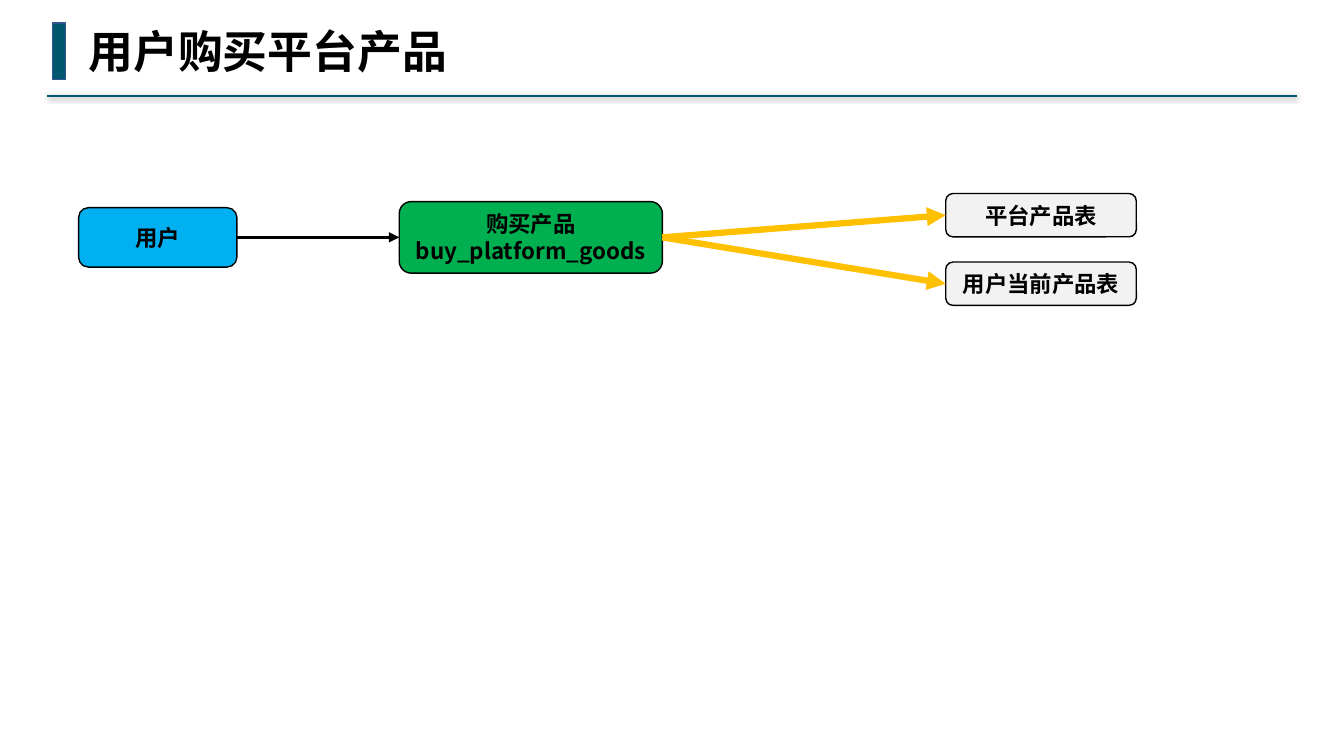
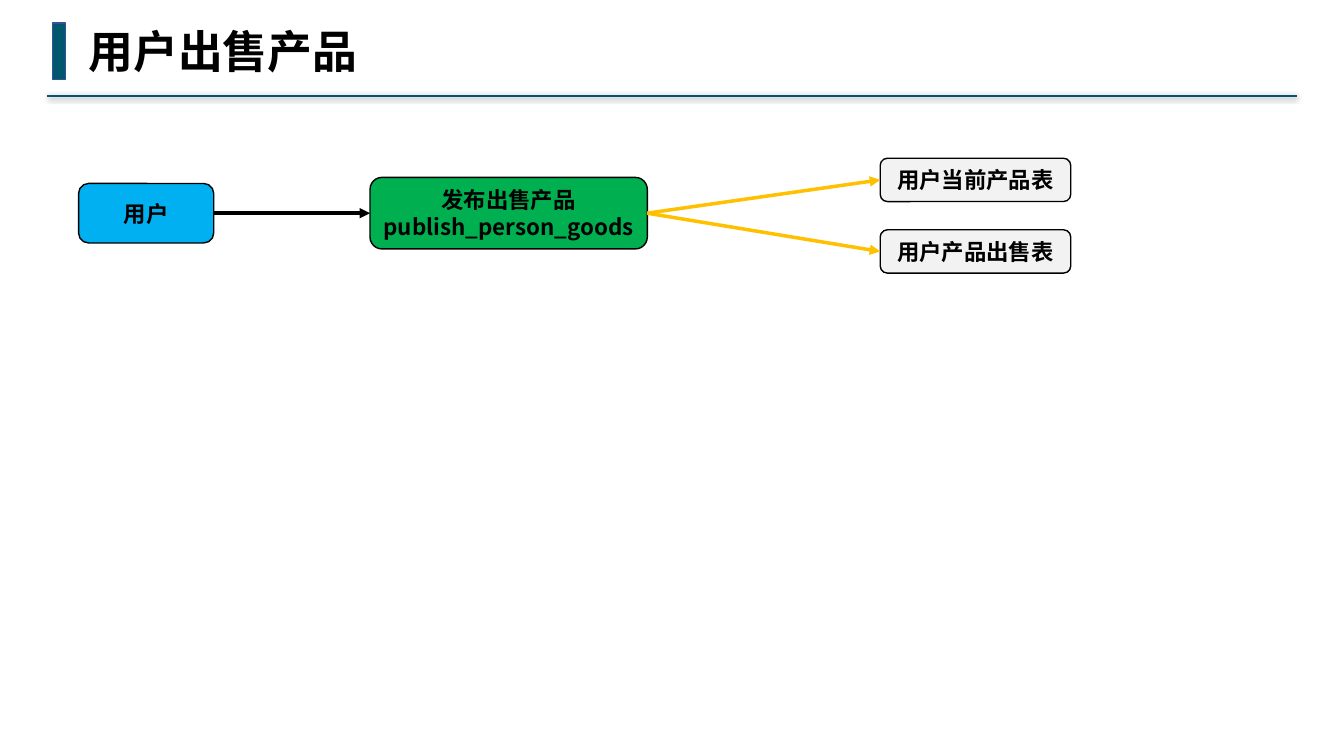
from lxml import etree
from pptx import Presentation
from pptx.dml.color import RGBColor as RGB
from pptx.enum.shapes import MSO_CONNECTOR as CONN, MSO_SHAPE as SHAPE
from pptx.enum.text import MSO_ANCHOR as ANCHOR, MSO_AUTO_SIZE as FIT, PP_ALIGN as ALIGN
from pptx.oxml.ns import qn
from pptx.util import Emu, Pt

SCALE = 9144  # EMU in one px, 100 px to the inch
BODY_FONT, TITLE_FONT = "Noto Sans CJK SC", "Noto Sans Mono"
COLORS = dict(black="000000", teal="00576E", navy="325491", blue="00B0F0",
              green="00B050", amber="FFC000", gray="F2F2F2")


def px(n):
    return Emu(n * SCALE)


def color(name):
    return RGB.from_string(COLORS[name])


def write(tf, text, size=16, font=BODY_FONT, align=ALIGN.CENTER):
    """Fill a text frame, one paragraph per line of text."""
    for i, line in enumerate(text.split("\n")):
        p = tf.add_paragraph() if i else tf.paragraphs[0]
        p.alignment = align
        r = p.add_run()
        r.text = line
        r.font.size, r.font.bold, r.font.name = Pt(size), True, font
        r.font.color.rgb = color("black")
        ea = etree.SubElement(r._r.get_or_add_rPr(), qn("a:ea"))
        ea.set("typeface", BODY_FONT)


class Deck:
    def __init__(self):
        self.prs = Presentation()
        self.prs.slide_width, self.prs.slide_height = px(1333), px(750)

    def slide(self, title):
        self.s = self.prs.slides.add_slide(self.prs.slide_layouts[6])
        # Title band: rule with a soft shadow, bar and heading
        rule = self.line(1286, 95, 47, 95, "teal", 1.5)
        self.soft_shadow(rule)
        self.shape(SHAPE.RECTANGLE, 52, 23, 13, 56, "teal", "navy")
        tb = self.s.shapes.add_textbox(px(78), px(19), px(20 + 45 * len(title)), px(64))
        tf = tb.text_frame
        tf.word_wrap, tf.auto_size = False, FIT.SHAPE_TO_FIT_TEXT
        write(tf, title, size=32, font=TITLE_FONT, align=ALIGN.LEFT)

    def shape(self, kind, x, y, w, h, fill, line="black"):
        sp = self.s.shapes.add_shape(kind, px(x), px(y), px(w), px(h))
        sp.shadow.inherit = False
        sp.fill.solid()
        sp.fill.fore_color.rgb = color(fill)
        sp.line.color.rgb = color(line)
        sp.line.width = Pt(1)
        return sp

    def box(self, text, x, mid_y, w, h, fill):
        """Rounded box centred vertically on mid_y."""
        sp = self.shape(SHAPE.ROUNDED_RECTANGLE, x, mid_y - h // 2, w, h, fill)
        tf = sp.text_frame
        tf.word_wrap, tf.vertical_anchor = False, ANCHOR.MIDDLE
        tf.margin_left = tf.margin_right = tf.margin_top = tf.margin_bottom = px(4)
        write(tf, text)
        return sp

    def line(self, x1, y1, x2, y2, stroke, width):
        c = self.s.shapes.add_connector(CONN.STRAIGHT, px(x1), px(y1), px(x2), px(y2))
        c.line.color.rgb = color(stroke)
        c.line.width = Pt(width)
        etree.SubElement(c._element.spPr, qn("a:effectLst"))
        return c

    def soft_shadow(self, c):
        effects = c._element.spPr.find(qn("a:effectLst"))
        shadow = etree.SubElement(effects, qn("a:outerShdw"), blurRad=str(Pt(4)),
                                  dist=str(Pt(1)), dir="5400000", rotWithShape="0")
        tint = etree.SubElement(shadow, qn("a:srgbClr"), val=COLORS["black"])
        etree.SubElement(tint, qn("a:alpha"), val="40000")

    def arrow(self, source, target, stroke, width=2.5):
        """Arrow from the right side of source to the left side of target."""
        c = self.line(0, 0, 0, 0, stroke, width)
        c.begin_connect(source, 3)
        c.end_connect(target, 1)
        etree.SubElement(c.line._get_or_add_ln(), qn("a:tailEnd"), type="triangle")

    def flow(self, mid_y, user_w, step, tables, table_x, table_width=2.5):
        """User -> step -> tables; step is (text, x, w), tables are (text, mid_y)."""
        user = self.box("用户", 78, mid_y, user_w, 59, "blue")
        text, x, w = step
        action = self.box(text, x, mid_y, w, 71, "green")
        self.arrow(user, action, "black")
        for name, y in tables:
            table = self.box(name, table_x, y, 189, 43, "gray")
            self.arrow(action, table, "amber", table_width)


def main():
    deck = Deck()

    # Buying from the platform
    deck.slide("用户购买平台产品")
    deck.flow(235, 157, ("购买产品\nbuy_platform_goods", 396, 261),
              [("平台产品表", 213), ("用户当前产品表", 281)], 938, table_width=4.5)

    # Selling a product
    deck.slide("用户出售产品")
    deck.flow(211, 134, ("发布出售产品\npublish_person_goods", 367, 275),
              [("用户当前产品表", 178), ("用户产品出售表", 249)], 873)

    deck.prs.save("out.pptx")


if __name__ == "__main__":
    main()
